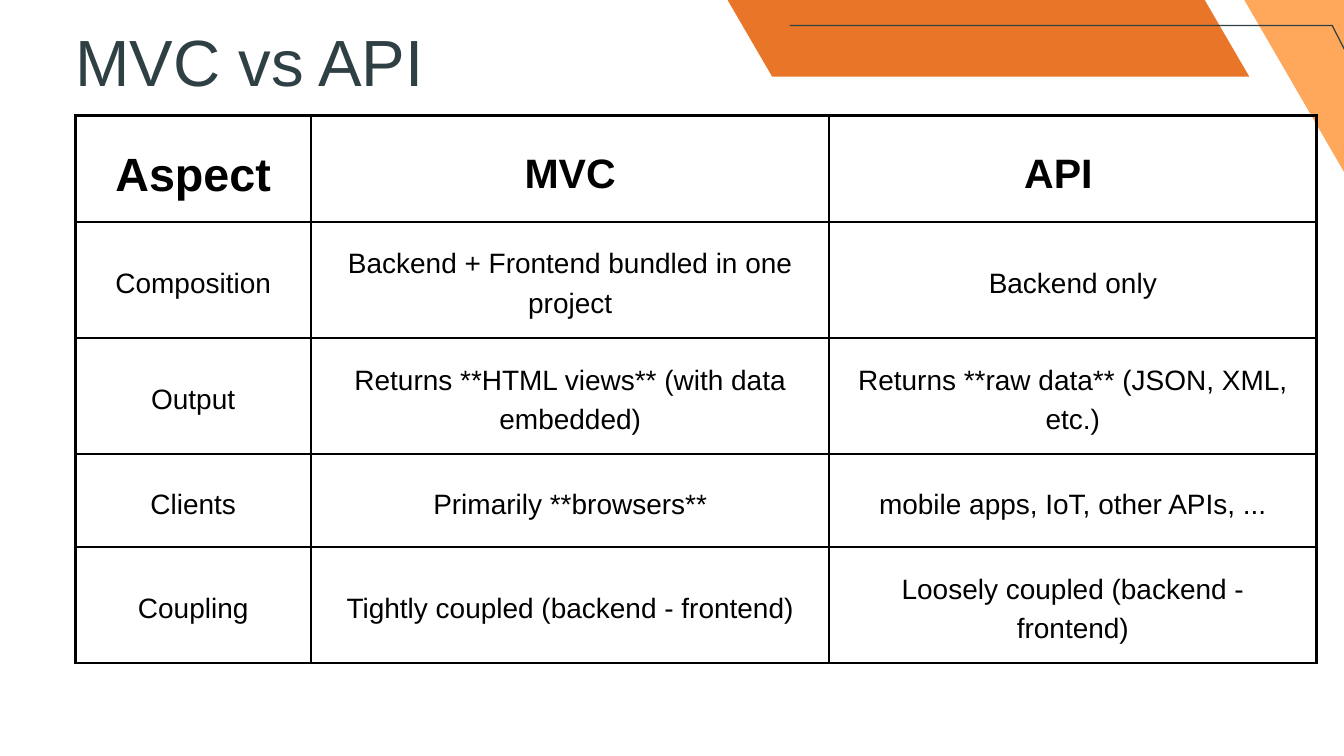
"""Build the MVC vs API comparison slide."""
from dataclasses import dataclass

from lxml.etree import SubElement
from pptx import Presentation
from pptx.dml.color import RGBColor
from pptx.enum.text import MSO_ANCHOR, PP_ALIGN
from pptx.oxml.ns import qn
from pptx.util import Inches, Pt


@dataclass(frozen=True)
class Theme:
    font: str = "Arial"
    ink: str = "2F4044"
    black: str = "000000"
    dark: str = "E97529"
    light: str = "FFA85C"
    title: int = 70
    first: int = 50
    head: int = 44
    body: int = 30
    rule: int = 3


def style(para, size, color, lead, bold=False):
    para.line_spacing = Pt(size * lead)
    font = para.runs[0].font
    font.name, font.size, font.bold = theme.font, Pt(size), bold
    font.color.rgb = RGBColor.from_string(color)


def border(cell):
    props = cell._tc.get_or_add_tcPr()
    for side in ("lnL", "lnR", "lnT", "lnB"):
        line = SubElement(props, qn(f"a:{side}"), w=str(Pt(theme.rule)))
        fill = SubElement(line, qn("a:solidFill"))
        SubElement(fill, qn("a:srgbClr"), val=theme.black)


theme = Theme()
deck = Presentation()
deck.slide_width, deck.slide_height = Inches(20), Inches(11.25)
slide = deck.slides.add_slide(deck.slide_layouts[6])
shapes = slide.shapes

bands = [
    (theme.dark, [(10.6, -0.39), (17.7, -0.39), (18.59, 1.14), (11.49, 1.14)]),
    (theme.light, [(18.29, -0.39), (20.07, -0.39), (21.84, 2.68), (20.07, 2.68)]),
    (theme.ink, [(11.75, 0.37), (19.83, 0.37), (21.48, 3.59),
                 (21.46, 3.6), (19.82, 0.39), (11.75, 0.39)]),
]
for color, points in bands:
    spots = [(Inches(x), Inches(y)) for x, y in points]
    pen = shapes.build_freeform(*spots[0])
    pen.add_line_segments(spots[1:], close=True)
    band = pen.convert_to_shape()
    band.shadow.inherit = False
    band.fill.solid()
    band.fill.fore_color.rgb = RGBColor.from_string(color)
    band.line.fill.background()

rows = [
    ("Aspect", "MVC", "API"),
    ("Composition", "Backend + Frontend bundled in one project", "Backend only"),
    ("Output", "Returns **HTML views** (with data embedded)",
     "Returns **raw data** (JSON, XML, etc.)"),
    ("Clients", "Primarily **browsers**", "mobile apps, IoT, other APIs, ..."),
    ("Coupling", "Tightly coupled (backend - frontend)",
     "Loosely coupled (backend - frontend)"),
]
widths = [3.51, 7.71, 7.25]
heights = [1.58, 1.73, 1.73, 1.38, 1.73]
table = shapes.add_table(
    len(rows), len(widths), Inches(1.12), Inches(1.72),
    Inches(sum(widths)), Inches(sum(heights))).table
table.first_row = table.horz_banding = False
for col, width in zip(table.columns, widths):
    col.width = Inches(width)
for row, height in zip(table.rows, heights):
    row.height = Inches(height)

for i, row in enumerate(rows):
    for j, text in enumerate(row):
        cell = table.cell(i, j)
        cell.text_frame.text = text
        cell.vertical_anchor = MSO_ANCHOR.MIDDLE
        cell.margin_left = cell.margin_right = Inches(0.21)
        cell.margin_top = cell.margin_bottom = Inches(0.21)
        border(cell)
        cell.fill.background()
        para = cell.text_frame.paragraphs[0]
        para.alignment = PP_ALIGN.CENTER
        size = theme.body if i else theme.head if j else theme.first
        style(para, size, theme.black, 1.4, bold=i == 0)

api = table.cell(0, 2)
api.margin_left = Inches(2.9)
api.text_frame.paragraphs[0].alignment = PP_ALIGN.LEFT

box = shapes.add_textbox(Inches(1.12), Inches(0.32), Inches(16.65), Inches(1.2))
frame = box.text_frame
frame.word_wrap = True
frame.margin_left = frame.margin_right = 0
frame.margin_top = frame.margin_bottom = 0
frame.text = "MVC vs API"
style(frame.paragraphs[0], theme.title, theme.ink, 1.2)

deck.save("out.pptx")
